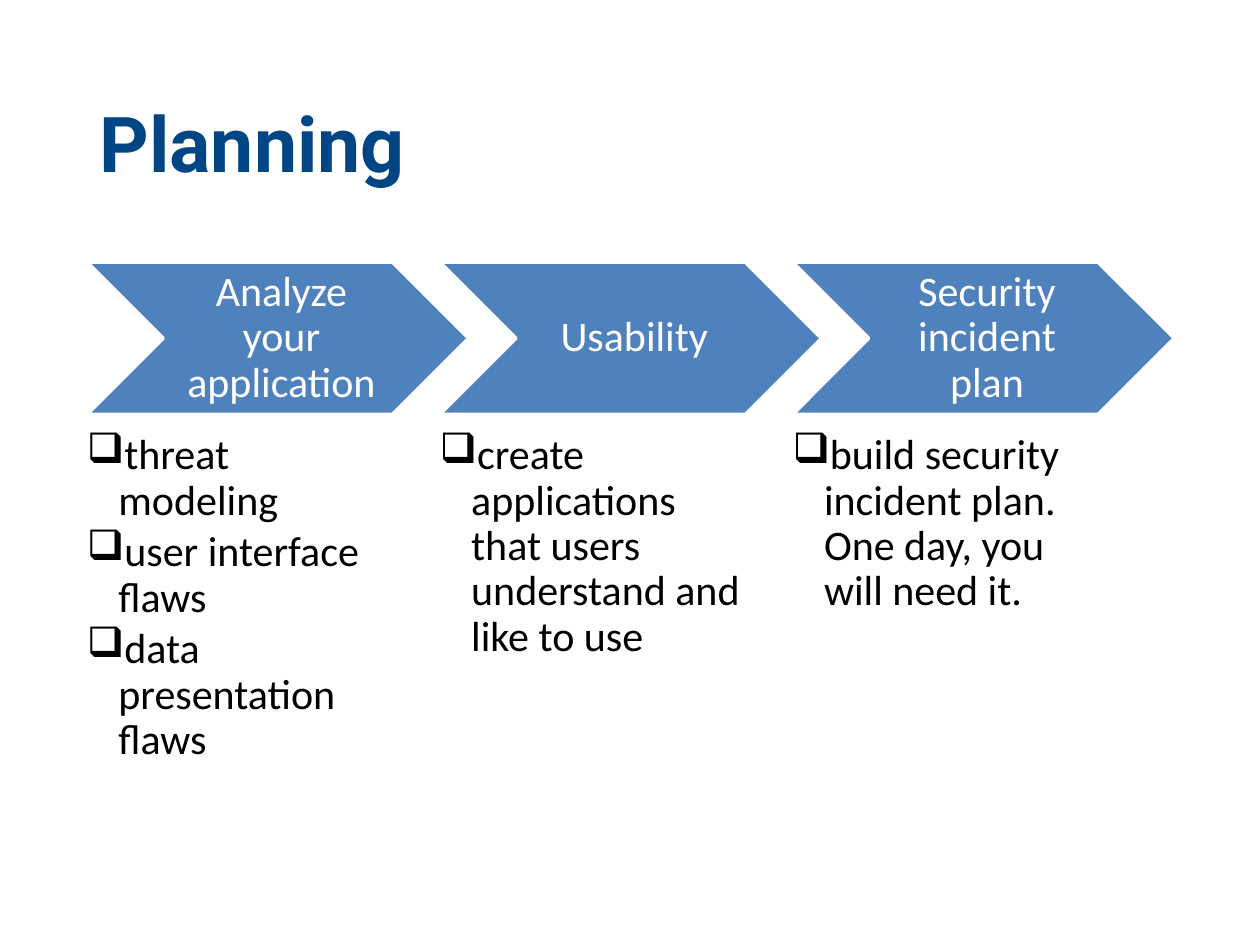
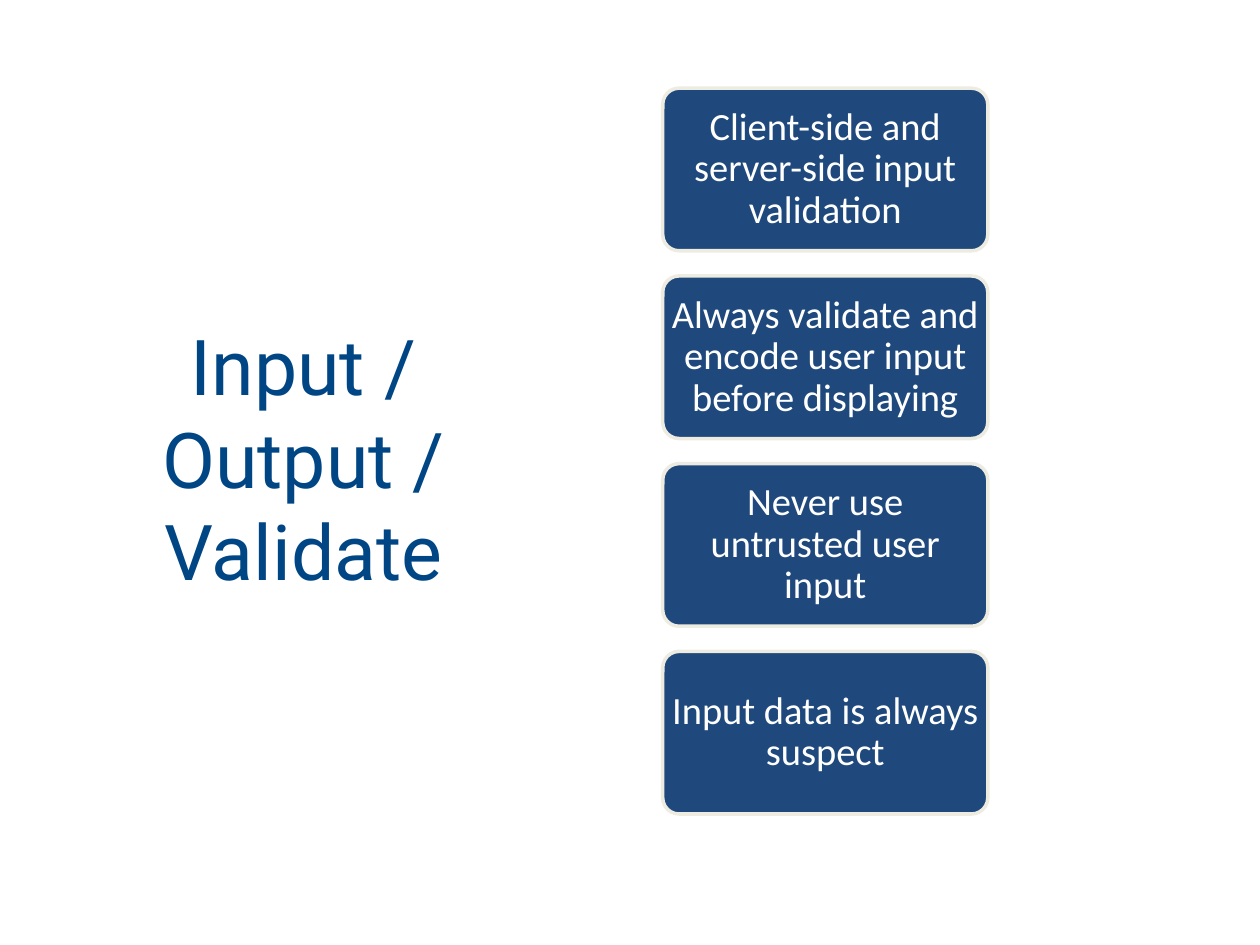
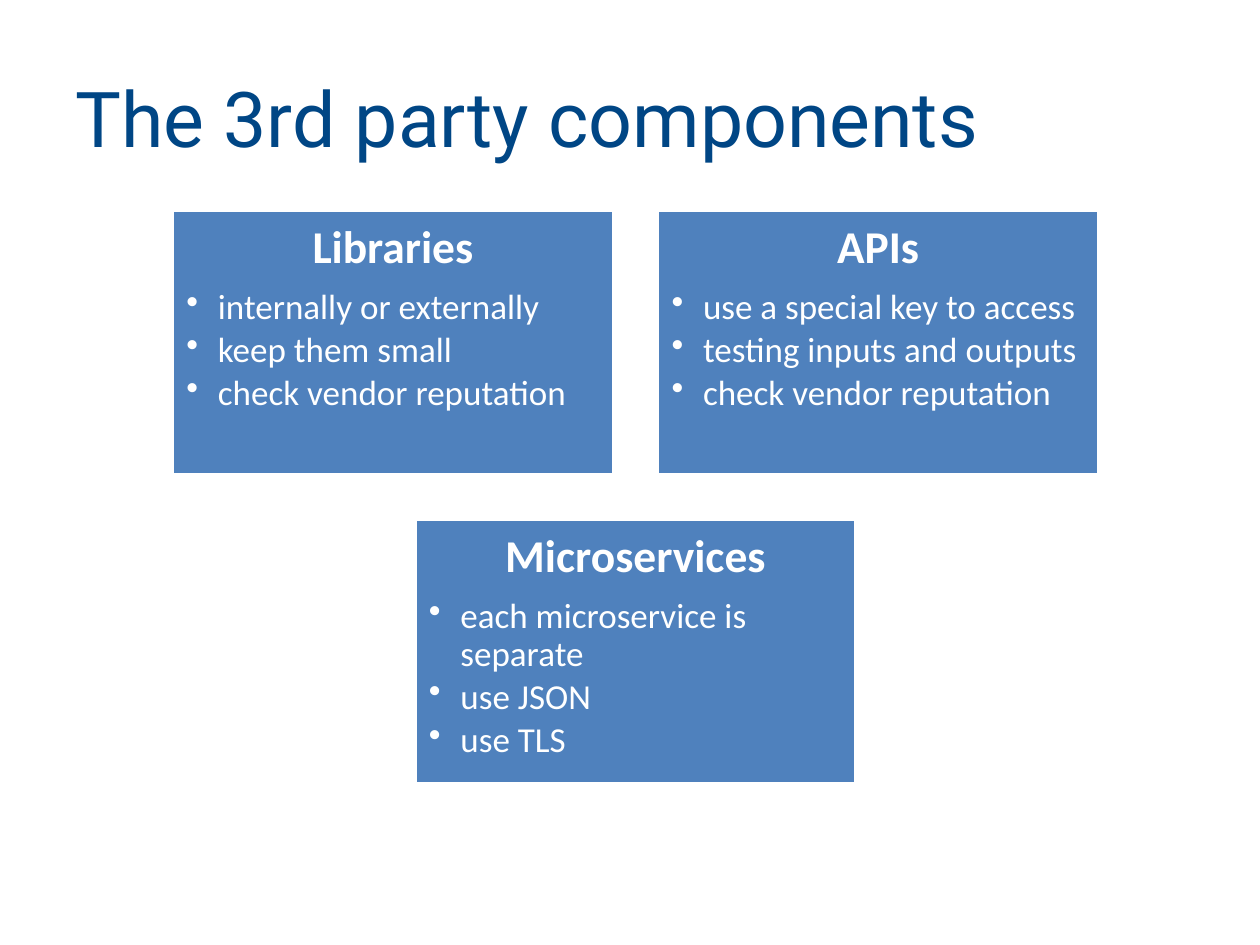
from dataclasses import dataclass

from lxml import etree
from pptx import Presentation
from pptx.dml.color import RGBColor
from pptx.enum.shapes import MSO_SHAPE
from pptx.enum.text import MSO_ANCHOR, MSO_AUTO_SIZE, PP_ALIGN
from pptx.oxml.ns import qn
from pptx.util import Inches, Pt

CHEVRON = MSO_SHAPE.CHEVRON
ROUNDED = MSO_SHAPE.ROUNDED_RECTANGLE
RECT = MSO_SHAPE.RECTANGLE
LEFT, CENTER = PP_ALIGN.LEFT, PP_ALIGN.CENTER
TOP, MIDDLE = MSO_ANCHOR.TOP, MSO_ANCHOR.MIDDLE
NO_FIT = MSO_AUTO_SIZE.NONE
TITLE_ONLY = 5


@dataclass(frozen=True)
class Theme:
    title: str = "004685"
    accent: str = "4F81BD"
    dark: str = "1F497D"
    cream: str = "EEECE1"
    white: str = "FFFFFF"
    black: str = "000000"
    title_font: str = "Roboto"
    body_font: str = "Calibri"
    title_size: int = 44
    heading_size: int = 26
    step_size: int = 24
    rule_size: int = 22
    item_size: int = 20
    line_width: int = 2
    leading: float = 0.9
    heading_gap: float = 0.35
    item_gap: float = 0.15
    indent: float = 0.25


@dataclass(frozen=True)
class Grid:
    left: float
    top: float
    width: float
    height: float
    col_step: float = 0
    row_step: float = 0

    def cell(self, col=0, row=0):
        return (self.left + col * self.col_step, self.top + row * self.row_step,
                self.width, self.height)


THEME = Theme()

STEPS = [
    ("Analyze your application",
     ["threat modeling", "user interface flaws", "data presentation flaws"]),
    ("Usability",
     ["create applications that users understand and like to use"]),
    ("Security incident plan",
     ["build security incident plan. One day, you will need it."]),
]
RULES = [
    "Client-side and server-side input validation",
    "Always validate and encode user input before displaying",
    "Never use untrusted user input",
    "Input data is always suspect",
]
COMPONENTS = [
    (0, 0, "Libraries",
     ["internally or externally", "keep them small", "check vendor reputation"]),
    (1, 0, "APIs",
     ["use a special key to access", "testing inputs and outputs",
      "check vendor reputation"]),
    (0.5, 1, "Microservices",
     ["each microservice is separate", "use JSON", "use TLS"]),
]


def inches(box):
    return [Inches(v) for v in box]


def add_run(p, text, size, color, font=THEME.body_font, bold=False):
    r = p.add_run()
    r.text = text
    r.font.name = font
    r.font.size = Pt(size)
    r.font.bold = bold
    r.font.color.rgb = RGBColor.from_string(color)


def set_frame(tf, anchor, insets):
    tf.word_wrap = True
    tf.auto_size = NO_FIT
    tf.vertical_anchor = anchor
    tf.margin_left, tf.margin_top, tf.margin_right, tf.margin_bottom = inches(insets)


def next_paragraph(tf):
    p = tf.paragraphs[0]
    return tf.add_paragraph() if p.runs else p


def add_heading(tf, text, size, bold=False):
    p = next_paragraph(tf)
    p.alignment = CENTER
    p.line_spacing = THEME.leading
    p.space_after = Pt(size * THEME.heading_gap)
    add_run(p, text, size, THEME.white, bold=bold)


def add_bullets(tf, items, mark, size, color):
    for item in items:
        p = next_paragraph(tf)
        p.level = 1
        p.alignment = LEFT
        p.line_spacing = THEME.leading
        p.space_before = Pt(0)
        p.space_after = Pt(size * THEME.item_gap)
        pPr = p._p.get_or_add_pPr()
        pPr.set("marL", str(Inches(THEME.indent)))
        pPr.set("indent", str(-Inches(THEME.indent)))
        etree.SubElement(pPr, qn("a:buChar")).set("char", mark)
        add_run(p, item, size, color)


def add_title_slide(prs, text, box, align=LEFT, bold=False):
    s = prs.slides.add_slide(prs.slide_layouts[TITLE_ONLY])
    sp = s.shapes.title
    sp.left, sp.top, sp.width, sp.height = inches(box)
    set_frame(sp.text_frame, MIDDLE, (0.1, 0.05, 0.1, 0.05))
    p = sp.text_frame.paragraphs[0]
    p.alignment = align
    add_run(p, text, THEME.title_size, THEME.title, THEME.title_font, bold)
    return s


def add_panel(s, kind, box, fill, line, anchor, insets):
    sp = s.shapes.add_shape(kind, *inches(box))
    sp.shadow.inherit = False
    sp.fill.solid()
    sp.fill.fore_color.rgb = RGBColor.from_string(fill)
    sp.line.color.rgb = RGBColor.from_string(line)
    sp.line.width = Pt(THEME.line_width)
    set_frame(sp.text_frame, anchor, insets)
    return sp


def add_list(s, box, items):
    tf = s.shapes.add_textbox(*inches(box)).text_frame
    set_frame(tf, TOP, (0, 0, 0, 0))
    add_bullets(tf, items, "❑", THEME.step_size, THEME.black)


def build_planning(prs):
    s = add_title_slide(prs, "Planning", (0.69, 0.4, 8.62, 1.45), bold=True)
    arrows = Grid(0.69, 2.08, 3.03, 1.21, col_step=2.8)
    lists = Grid(0.69, 3.44, 2.43, 2.72, col_step=2.8)
    for col, (step, items) in enumerate(STEPS):
        sp = add_panel(s, CHEVRON, arrows.cell(col), THEME.accent, THEME.white,
                       MIDDLE, (0.1, 0.04, 0.04, 0.04))
        add_heading(sp.text_frame, step, THEME.step_size)
        add_list(s, lists.cell(col), items)


def build_validation(prs):
    s = add_title_slide(prs, "Input / Output / Validate", (1.1, 1.05, 2.62, 5.16), CENTER)
    cards = Grid(5.26, 0.7, 2.58, 1.29, row_step=1.49)
    for row, rule in enumerate(RULES):
        sp = add_panel(s, ROUNDED, cards.cell(row=row), THEME.dark, THEME.cream,
                       MIDDLE, (0.02, 0.02, 0.02, 0.02))
        sp.adjustments[0] = 0.1
        add_heading(sp.text_frame, rule, THEME.rule_size)


def build_components(prs):
    s = add_title_slide(prs, "The 3rd party components", (0.5, 0.3, 9, 1.25))
    boxes = Grid(1.37, 1.67, 3.5, 2.1, col_step=3.85, row_step=2.45)
    for col, row, name, items in COMPONENTS:
        sp = add_panel(s, RECT, boxes.cell(col, row), THEME.accent, THEME.white,
                       TOP, (0.11, 0.11, 0.11, 0.11))
        add_heading(sp.text_frame, name, THEME.heading_size, bold=True)
        add_bullets(sp.text_frame, items, "•", THEME.item_size, THEME.white)


def main():
    prs = Presentation()
    prs.slide_width, prs.slide_height = Inches(10), Inches(7.5)
    build_planning(prs)
    build_validation(prs)
    build_components(prs)
    prs.save("out.pptx")


if __name__ == "__main__":
    main()
